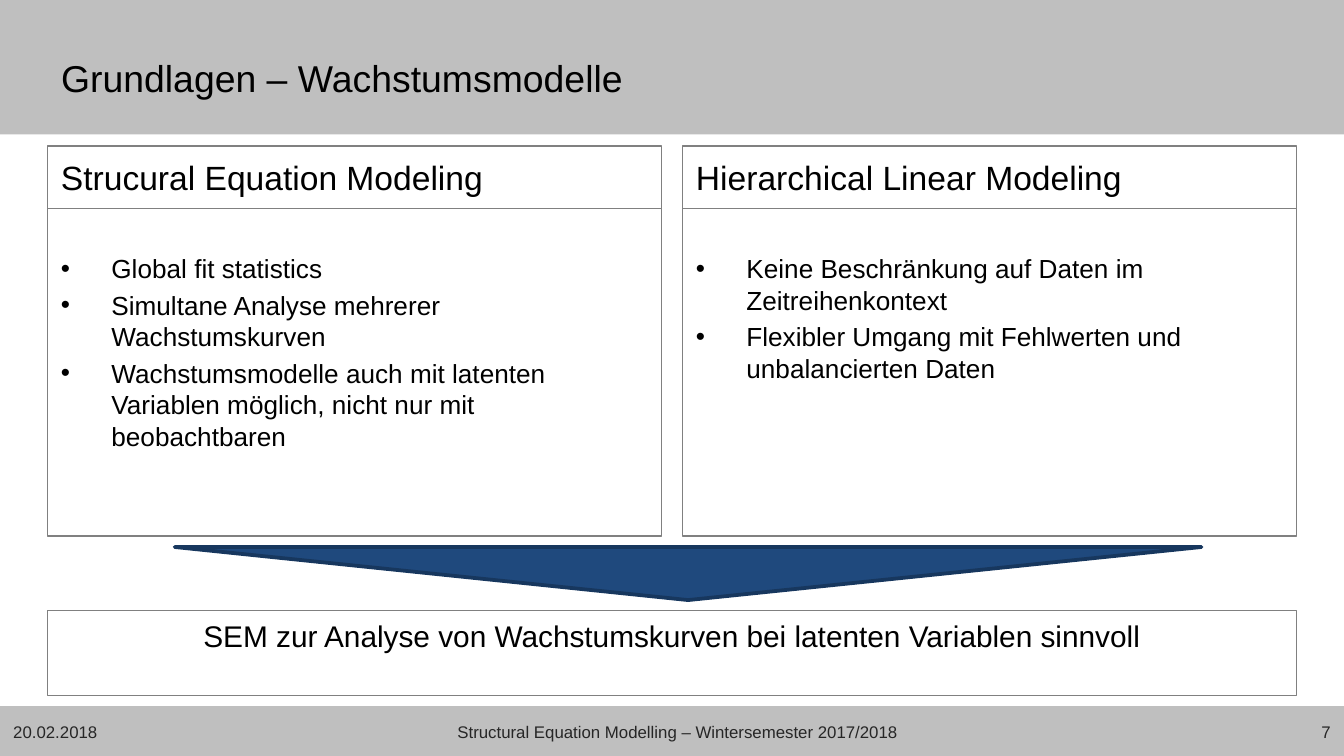
import pptx
import pptx.dml.color
import pptx.enum.shapes
import pptx.enum.text
import pptx.oxml
import pptx.oxml.ns
import pptx.util

PX = 4572  # EMU per px, 200 px to the inch
WIDTH, HEIGHT = 2000, 1125
SHAPE = pptx.enum.shapes.MSO_SHAPE
ALIGN = pptx.enum.text.PP_ALIGN
ANCHOR = pptx.enum.text.MSO_ANCHOR


def px(*lengths):
    return [pptx.util.Emu(n * PX) for n in lengths]


def color(hex_string):
    return pptx.dml.color.RGBColor.from_string(hex_string)


def write(tf, *lines, size=14, ink="000000", align=ALIGN.LEFT,
          anchor=ANCHOR.MIDDLE, top=10, gap=0, bullet=None):
    """Fill a text frame with one paragraph per line."""
    tf.word_wrap = True
    tf.auto_size = pptx.enum.text.MSO_AUTO_SIZE.NONE
    tf.vertical_anchor = anchor
    tf.margin_left, tf.margin_top, tf.margin_right, tf.margin_bottom = px(20, top, 20, 10)
    for i, line in enumerate(lines):
        p = tf.paragraphs[0] if i == 0 else tf.add_paragraph()
        p.alignment = align
        p.space_before = pptx.util.Pt(gap if i else 0)
        r = p.add_run()
        r.text = line
        r.font.name = "Arial"
        r.font.size = pptx.util.Pt(size)
        r.font.color.rgb = color(ink)
        if bullet:
            pPr = p._p.get_or_add_pPr()
            indent = px(75)[0]
            pPr.set("marL", str(indent))
            pPr.set("indent", str(-indent))
            ns = pptx.oxml.ns.nsdecls("a")
            pPr.append(pptx.oxml.parse_xml(f'<a:buFont {ns} typeface="Arial"/>'))
            pPr.append(pptx.oxml.parse_xml(f'<a:buChar {ns} char="{bullet}"/>'))


class Deck:
    GREY = "BFBFBF"
    BORDER = "808080"
    FOOTER = "262626"

    def __init__(self):
        self.prs = pptx.Presentation()
        self.prs.slide_width, self.prs.slide_height = px(WIDTH, HEIGHT)
        self.s = self.prs.slides.add_slide(self.prs.slide_layouts[5])

    def shape(self, kind, box, fill=None, line=None, weight=0.75):
        sp = self.s.shapes.add_shape(kind, *px(*box))
        sp.shadow.inherit = False
        if fill:
            sp.fill.solid()
            sp.fill.fore_color.rgb = color(fill)
        else:
            sp.fill.background()
        if line:
            sp.line.color.rgb = color(line)
            sp.line.width = pptx.util.Pt(weight)
        else:
            sp.line.fill.background()
        return sp

    def band(self, top, bottom):
        self.shape(SHAPE.RECTANGLE, (0, top, WIDTH, bottom - top), fill=self.GREY)

    def title(self, text, box):
        sp = self.s.shapes.title
        sp.left, sp.top, sp.width, sp.height = px(*box)
        write(sp.text_frame, text, size=20)
        # Bring the title in front of the header band
        sp.element.getparent().append(sp.element)

    def panel(self, box, *lines, **fmt):
        sp = self.shape(SHAPE.RECTANGLE, box, line=self.BORDER)
        write(sp.text_frame, *lines, **fmt)

    def column(self, left, heading, points):
        self.panel((left, 217, 913, 93), heading, size=18)
        self.panel((left, 310, 913, 488), *points, anchor=ANCHOR.TOP,
                   top=66, gap=2.8, bullet="•")

    def footer(self, left, width, text, align):
        sp = self.s.shapes.add_textbox(*px(left, 1065, width, 48))
        write(sp.text_frame, text, size=9, ink=self.FOOTER, align=align)


def main():
    deck = Deck()

    # Header and footer bands, arrow to the conclusion
    deck.band(0, 200)
    deck.band(1051, HEIGHT)
    deck.shape(SHAPE.FLOWCHART_MERGE, (260, 814, 1528, 79),
               fill="1F497D", line="17375E", weight=2)

    deck.title("Grundlagen – Wachstumsmodelle", (71, 46, 1686, 140))

    # Comparison columns
    deck.column(71, "Strucural Equation Modeling", [
        "Global fit statistics",
        "Simultane Analyse mehrerer Wachstumskurven",
        "Wachstumsmodelle auch mit latenten Variablen möglich, "
        "nicht nur mit beobachtbaren",
    ])
    deck.column(1016, "Hierarchical Linear Modeling", [
        "Keine Beschränkung auf Daten im Zeitreihenkontext",
        "Flexibler Umgang mit Fehlwerten und unbalancierten Daten",
    ])

    # Footer
    deck.footer(0, 182, "20.02.2018", ALIGN.LEFT)
    deck.footer(213, 1590, "Structural Equation Modelling – Wintersemester 2017/2018",
                ALIGN.CENTER)
    deck.footer(1818, 182, "7", ALIGN.RIGHT)

    # Conclusion
    deck.panel((71, 909, 1858, 126),
               "SEM zur Analyse von Wachstumskurven bei latenten Variablen sinnvoll",
               size=16, align=ALIGN.CENTER, anchor=ANCHOR.TOP)

    deck.prs.save("out.pptx")


if __name__ == "__main__":
    main()
